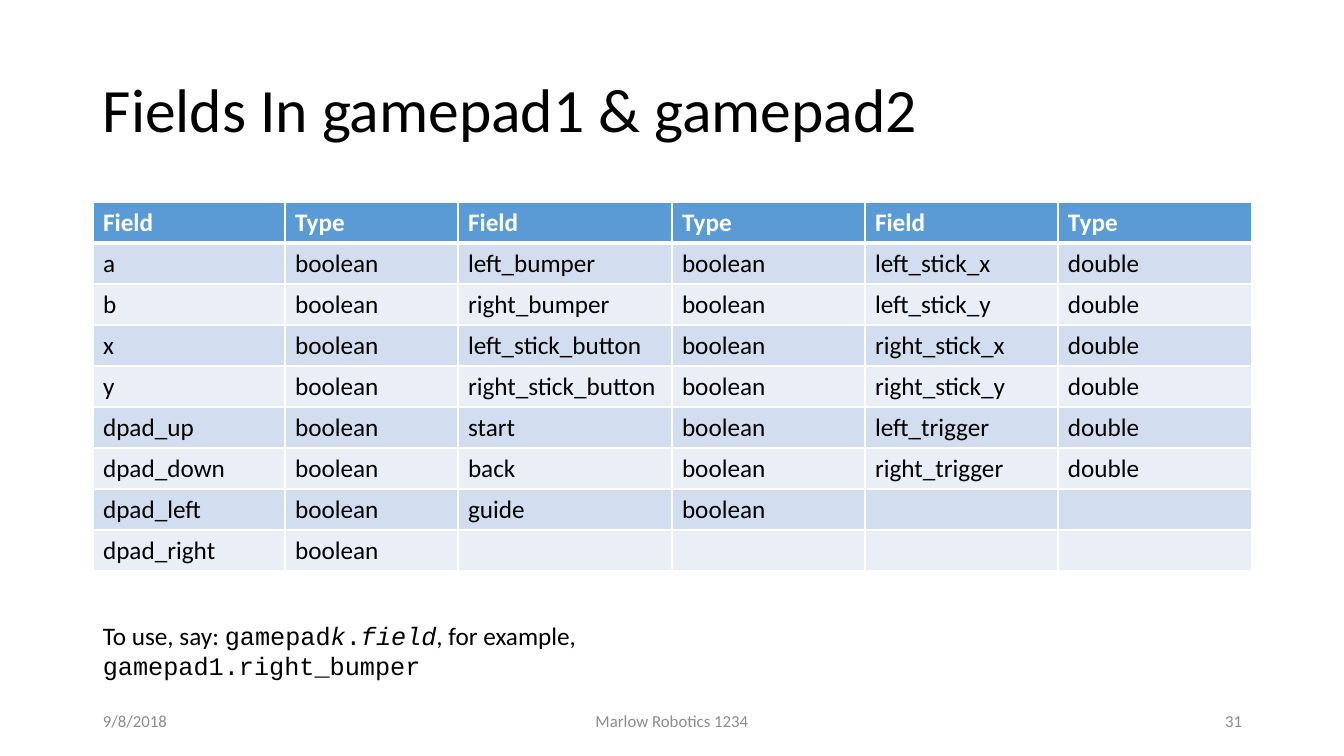
import pptx
import pptx.util
import pptx.dml.color
import pptx.enum.text
import pptx.oxml

RGB = pptx.dml.color.RGBColor
BLACK = RGB(0x00, 0x00, 0x00)
WHITE = RGB(0xFF, 0xFF, 0xFF)
GRAY = RGB(0x8C, 0x8C, 0x8C)
BLUE = RGB(0x5B, 0x9B, 0xD5)
BANDS = [RGB(0xD2, 0xDE, 0xEF), RGB(0xEA, 0xEF, 0xF7)]
ALIGN = pptx.enum.text.PP_ALIGN
ANCHOR = pptx.enum.text.MSO_ANCHOR
SCALE = 12192000 / 1344

HEADS = ["Field", "Type"] * 3
GROUPS = [
    ("boolean", ["a", "b", "x", "y", "dpad_up", "dpad_down", "dpad_left", "dpad_right"]),
    ("boolean", ["left_bumper", "right_bumper", "left_stick_button",
                 "right_stick_button", "start", "back", "guide"]),
    ("double", ["left_stick_x", "left_stick_y", "right_stick_x",
                "right_stick_y", "left_trigger", "right_trigger"]),
]
WIDTHS = [192, 173, 214, 193, 193, 194]
ROW = 41


def px(num):
    return pptx.util.Emu(round(num * SCALE))


def write(para, text, size=18, font="Calibri", color=BLACK, bold=False, italic=False):
    run = para.add_run()
    run.text = text
    run.font.size = pptx.util.Pt(size)
    run.font.name = font
    run.font.color.rgb = color
    run.font.bold = bold
    run.font.italic = italic


def edge(cell, side, width):
    cell._tc.get_or_add_tcPr().append(pptx.oxml.parse_xml(
        f'<a:ln{side} xmlns:a="http://schemas.openxmlformats.org/drawingml/2006/main" '
        f'w="{pptx.util.Pt(width)}"><a:solidFill><a:srgbClr val="{WHITE}"/>'
        f'</a:solidFill></a:ln{side}>'))


class Deck:
    def __init__(self):
        self.show = pptx.Presentation()
        self.show.slide_width = px(1344)
        self.show.slide_height = px(756)
        self.slide = self.show.slides.add_slide(self.show.slide_layouts[6])

    def box(self, left, top, width, height, parts, align=ALIGN.LEFT,
            anchor=ANCHOR.MIDDLE, space=1.0, wrap=True):
        frame = self.slide.shapes.add_textbox(
            px(left), px(top), px(width), px(height)).text_frame
        frame.word_wrap = wrap
        frame.vertical_anchor = anchor
        para = frame.paragraphs[0]
        para.alignment = align
        para.line_spacing = space
        for text, form in parts:
            write(para, text, **form)

    def table(self, left, top, rows):
        grid = self.slide.shapes.add_table(
            len(rows), len(WIDTHS), px(left), px(top),
            px(sum(WIDTHS)), px(ROW * len(rows))).table
        for col, width in zip(grid.columns, WIDTHS):
            col.width = px(width)
        for r, row in enumerate(rows):
            grid.rows[r].height = px(ROW)
            head = r == 0
            for c, text in enumerate(row):
                cell = grid.cell(r, c)
                for side in "LR":
                    edge(cell, side, 1)
                edge(cell, "T", 3 if r == 1 else 1)
                edge(cell, "B", 3 if head else 1)
                cell.fill.solid()
                cell.fill.fore_color.rgb = BLUE if head else BANDS[(r - 1) % 2]
                if text:
                    write(cell.text_frame.paragraphs[0], text,
                          color=WHITE if head else BLACK, bold=head)


def main():
    deck = Deck()
    deck.box(93, 40, 1159, 146, [("Fields In gamepad1 & gamepad2", {"size": 44})], space=0.9)

    rows = [HEADS]
    for r in range(max(len(names) for kind, names in GROUPS)):
        row = []
        for kind, names in GROUPS:
            row += [names[r], kind] if r < len(names) else ["", ""]
        rows.append(row)
    deck.table(93, 202, rows)

    foot = {"size": 12, "color": GRAY}
    for left, width, text, align in [
        (93, 302, "9/8/2018", ALIGN.LEFT),
        (445, 454, "Marlow Robotics 1234", ALIGN.CENTER),
        (950, 302, "31", ALIGN.RIGHT),
    ]:
        deck.box(left, 701, width, 40, [(text, foot)], align=align)

    code = {"font": "Courier New"}
    slant = {"font": "Courier New", "italic": True}
    deck.box(93, 615, 816, 40, [
        ("To use, say: ", {}), ("gamepad", code), ("k", slant), (".", code),
        ("field", slant), (", for example, ", {}), ("gamepad1.right_bumper", code),
    ], anchor=ANCHOR.TOP, wrap=False)
    deck.show.save("out.pptx")


if __name__ == "__main__":
    main()
